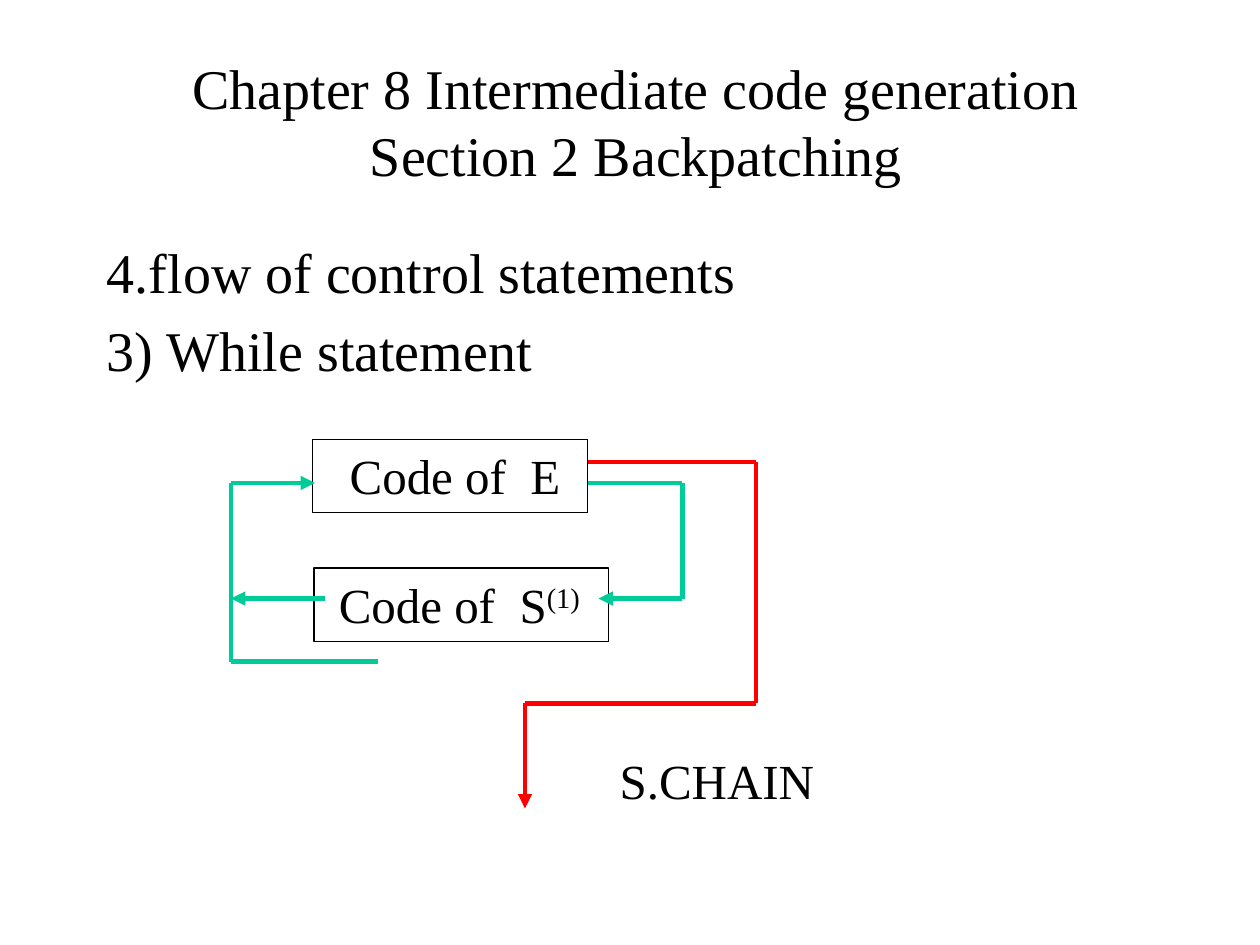
from dataclasses import dataclass

import lxml.etree
import pptx
import pptx.dml.color
import pptx.enum.shapes
import pptx.enum.text
import pptx.oxml.ns
import pptx.util

Pt = pptx.util.Pt
FONT = "Times New Roman"
COLORS = {"text": "000000", "false_exit": "FF0000", "loop": "00CC99"}
LINE_WIDTH = 2.75


@dataclass
class TextBlock:
    lines: list[str]
    left: float
    top: float
    width: float
    height: float
    size: float = 28
    margin_left: float = 7.2
    space_before: float = 0
    centered: bool = False
    outlined: bool = False
    superscript: str = ""


@dataclass
class Route:
    """A path of straight segments; an arrow ends the last one."""
    color: str
    points: list[tuple[float, float]]


def rgb(name: str) -> pptx.dml.color.RGBColor:
    return pptx.dml.color.RGBColor.from_string(COLORS[name])


def draw_text(slide, block: TextBlock) -> None:
    bounds = [Pt(value) for value in (block.left, block.top, block.width, block.height)]
    if block.outlined:
        shape = slide.shapes.add_shape(pptx.enum.shapes.MSO_SHAPE.RECTANGLE, *bounds)
        shape.shadow.inherit = False
        shape.fill.background()
        shape.line.color.rgb = rgb("text")
        shape.line.width = Pt(0.75)
    else:
        shape = slide.shapes.add_textbox(*bounds)

    frame = shape.text_frame
    frame.text = "\n".join(block.lines)
    frame.word_wrap = True
    frame.margin_left = Pt(block.margin_left)
    frame.margin_right = 0
    anchors = pptx.enum.text.MSO_ANCHOR
    frame.vertical_anchor = anchors.MIDDLE if block.centered else anchors.TOP
    if block.superscript:
        run = frame.paragraphs[-1].add_run()
        run.text = block.superscript
        run._r.get_or_add_rPr().set("baseline", "30000")

    alignments = pptx.enum.text.PP_ALIGN
    for paragraph in frame.paragraphs:
        paragraph.alignment = alignments.CENTER if block.centered else alignments.LEFT
        paragraph.space_before = Pt(block.space_before)
        for run in paragraph.runs:
            run.font.name = FONT
            run.font.size = Pt(block.size)
            run.font.color.rgb = rgb("text")


def draw_route(slide, route: Route) -> None:
    for start, end in zip(route.points, route.points[1:]):
        connector = slide.shapes.add_connector(
            pptx.enum.shapes.MSO_CONNECTOR.STRAIGHT,
            *[Pt(value) for value in start + end])
        connector.line.color.rgb = rgb(route.color)
        connector.line.width = Pt(LINE_WIDTH)
        properties = connector._element.spPr
        lxml.etree.SubElement(properties, pptx.oxml.ns.qn("a:effectLst"))
    # Arrowhead on the final segment
    lxml.etree.SubElement(connector.line._get_or_add_ln(),
                          pptx.oxml.ns.qn("a:tailEnd"), type="triangle")


TEXT_BLOCKS = [
    # Title and statement headings
    TextBlock(["Chapter 8 Intermediate code generation Section 2 Backpatching"],
              54, 12, 612, 114, size=32, centered=True),
    TextBlock(["4.flow of control statements", "3) While statement"],
              54, 132, 612, 360, size=32, space_before=6.4),
    # Code boxes
    TextBlock(["Code of  E"], 178.6, 251.2, 157, 41.8,
              margin_left=21.2, outlined=True),
    TextBlock(["Code of  S"], 179.4, 324.6, 168.4, 41.8,
              margin_left=14.2, outlined=True, superscript="(1)"),
    # Exit label
    TextBlock(["S.CHAIN"], 347, 425.6, 126, 41),
]

ROUTES = [
    # False exit from E to the chain
    Route("false_exit", [(336, 264), (432, 264), (432, 402), (300, 402), (300, 462)]),
    # True exit from E into the loop body
    Route("loop", [(336, 276), (390, 276), (390, 342), (342, 342)]),
    # Jumps from the body back to E
    Route("loop", [(186, 342), (132, 342)]),
    Route("loop", [(216, 378), (132, 378), (132, 276), (180, 276)]),
]


def main() -> None:
    presentation = pptx.Presentation()
    presentation.slide_width = Pt(720)
    presentation.slide_height = Pt(540)
    slide = presentation.slides.add_slide(presentation.slide_layouts[6])
    for block in TEXT_BLOCKS:
        draw_text(slide, block)
    for route in ROUTES:
        draw_route(slide, route)
    presentation.save("out.pptx")


if __name__ == "__main__":
    main()
